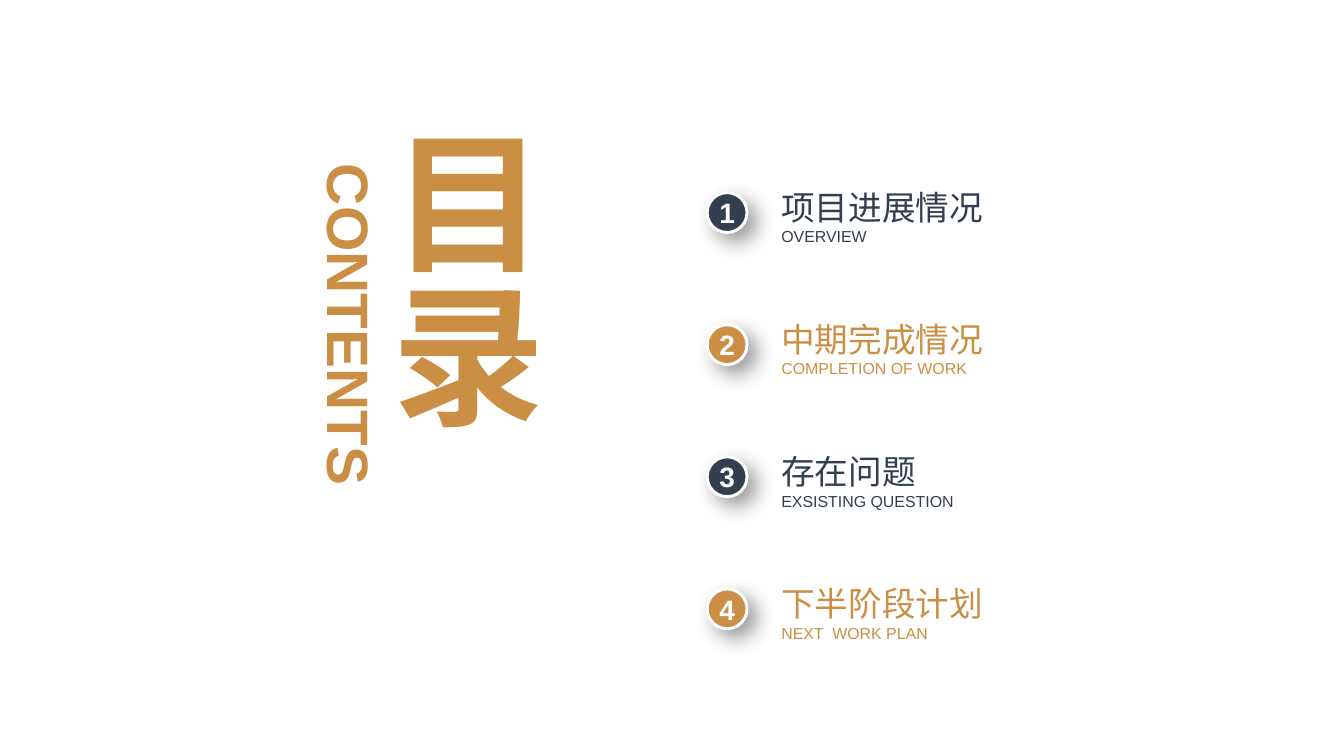
from lxml import etree
from pptx import Presentation
from pptx.dml.color import RGBColor
from pptx.enum.shapes import MSO_SHAPE
from pptx.enum.text import MSO_ANCHOR, MSO_AUTO_SIZE, PP_ALIGN
from pptx.oxml.ns import qn
from pptx.util import Cm, Pt

OVAL = MSO_SHAPE.OVAL
TOP, MIDDLE = MSO_ANCHOR.TOP, MSO_ANCHOR.MIDDLE
GROW, FIXED = MSO_AUTO_SIZE.SHAPE_TO_FIT_TEXT, MSO_AUTO_SIZE.NONE
LEFT, CENTER = PP_ALIGN.LEFT, PP_ALIGN.CENTER

COLORS = {"navy": "333F50", "gold": "CA8F45", "white": "FFFFFF", "black": "000000"}
FONT = "Arial"
FIRST_TOP, ROW_STEP = 5.12, 3.51
BADGE_LEFT, BADGE_SIZE = 18.79, 1.06
LABEL_LEFT, LABEL_RISE = 20.76, 0.17
LABEL_WIDTH, LABEL_HEIGHT = Cm(6.25), Cm(1.6)

SECTIONS = [
    ("项目进展情况", "OVERVIEW", "navy"),
    ("中期完成情况", "COMPLETION OF WORK", "gold"),
    ("存在问题", "EXSISTING QUESTION", "navy"),
    ("下半阶段计划", "NEXT  WORK PLAN", "gold"),
]


def write_lines(shape, lines, color, bold, align, anchor, autosize):
    frame = shape.text_frame
    frame.word_wrap = True
    frame.auto_size = autosize
    frame.vertical_anchor = anchor
    frame.margin_left = frame.margin_right = frame.margin_top = frame.margin_bottom = 0
    for index, (text, size) in enumerate(lines):
        para = frame.add_paragraph() if index else frame.paragraphs[0]
        para.alignment = align
        span = para.add_run()
        span.text = text
        span.font.name = FONT
        span.font.size = Pt(size)
        span.font.bold = bold
        span.font.color.rgb = RGBColor.from_string(COLORS[color])


def add_soft_shadow(shape):
    shape.shadow.inherit = False
    effects = shape.element.spPr.find(qn("a:effectLst"))
    shadow = etree.SubElement(
        effects, qn("a:outerShdw"), blurRad=str(Pt(16)), dist=str(Pt(9)),
        dir=str(45 * 60000), algn="tl", rotWithShape="0")
    tint = etree.SubElement(shadow, qn("a:srgbClr"), val=COLORS["black"])
    etree.SubElement(tint, qn("a:alpha"), val="40000")


deck = Presentation()
deck.slide_width, deck.slide_height = Cm(35.71), Cm(20.09)
page = deck.slides.add_slide(deck.slide_layouts[6])

for row, (heading, subtitle, color) in enumerate(SECTIONS):
    top = FIRST_TOP + row * ROW_STEP
    badge = page.shapes.add_shape(
        OVAL, Cm(BADGE_LEFT), Cm(top), Cm(BADGE_SIZE), Cm(BADGE_SIZE))
    badge.fill.solid()
    badge.fill.fore_color.rgb = RGBColor.from_string(COLORS[color])
    badge.line.color.rgb = RGBColor.from_string(COLORS["white"])
    badge.line.width = Pt(2.25)
    add_soft_shadow(badge)
    write_lines(badge, [(str(row + 1), 21.1)], "white", True, CENTER, MIDDLE, FIXED)

    outline = page.shapes.build_freeform(0, 0)
    outline.add_line_segments(
        [(LABEL_WIDTH, 0), (LABEL_WIDTH, LABEL_HEIGHT), (0, LABEL_HEIGHT)], close=True)
    label = outline.convert_to_shape(Cm(LABEL_LEFT), Cm(top - LABEL_RISE))
    label.fill.background()
    label.line.fill.background()
    label.shadow.inherit = False
    write_lines(label, [(heading, 25.3), (subtitle, 12)], color, False, LEFT, MIDDLE, GROW)

title = page.shapes.add_textbox(Cm(9.86), Cm(3.36), Cm(4.93), Cm(10.54))
write_lines(title, [("目录", 115)], "gold", True, CENTER, MIDDLE, GROW)
title.element.txBody.bodyPr.set("vert", "eaVert")

contents = page.shapes.add_textbox(Cm(4.72), Cm(7.69), Cm(9.17), Cm(1.88))
contents.rotation = 90
write_lines(contents, [("CONTENTS", 44)], "gold", True, CENTER, TOP, GROW)

deck.save("out.pptx")
